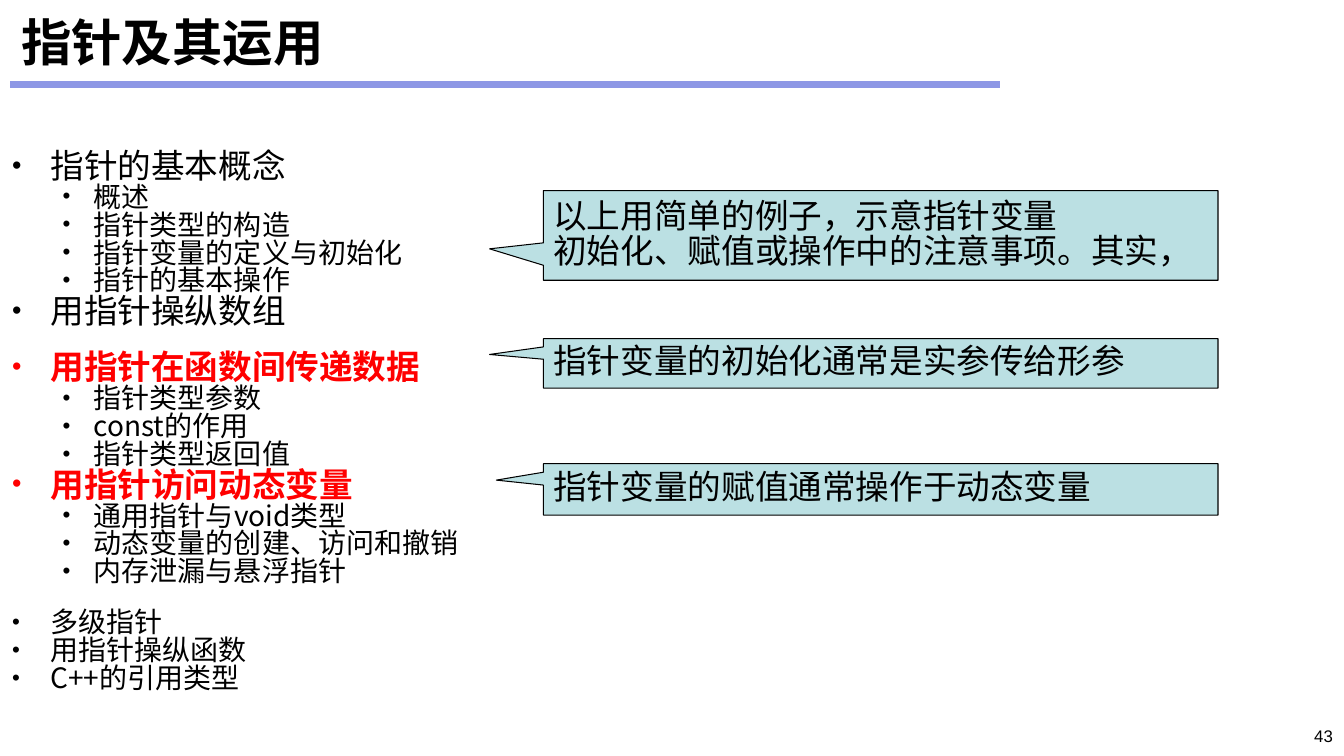
from lxml import etree
from pptx import Presentation
from pptx.dml.color import RGBColor
from pptx.enum.shapes import MSO_CONNECTOR, MSO_SHAPE
from pptx.enum.text import MSO_ANCHOR, MSO_AUTO_SIZE, PP_ALIGN
from pptx.oxml.ns import qn
from pptx.util import Pt

PX = 9144  # EMU per px, 100 px to the inch
CJK = "Noto Sans CJK SC"
BLACK, RED = "000000", "FF0000"

# level, text, size, highlighted, space before
OUTLINE = [
    (0, "指针的基本概念", 24, False, 0),
    (1, "概述", 20, False, 0),
    (1, "指针类型的构造", 20, False, 0),
    (1, "指针变量的定义与初始化", 20, False, 0),
    (1, "指针的基本操作", 20, False, 0),
    (0, "用指针操纵数组", 24, False, 0),
    (0, "用指针在函数间传递数据", 24, True, 16.5),
    (1, "指针类型参数", 20, False, 0),
    (1, "const的作用", 20, False, 0),
    (1, "指针类型返回值", 20, False, 0),
    (0, "用指针访问动态变量", 24, True, 0),
    (1, "通用指针与void类型", 20, False, 0),
    (1, "动态变量的创建、访问和撤销", 20, False, 0),
    (1, "内存泄漏与悬浮指针", 20, False, 0),
    (0, "多级指针", 20, False, 16.5),
    (0, "用指针操纵函数", 20, False, 0),
    (0, "C++的引用类型", 20, False, 0),
]
INDENTS = [(38, -38), (81, -31)]  # left margin and first line, by level

# top, height, pointer tip, lines
CALLOUTS = [
    (189, 89, (-0.58, 0.15),
     ["以上用简单的例子，示意指针变量", "初始化、赋值或操作中的注意事项。其实，"]),
    (336, 49, (-0.58, -0.18), ["指针变量的初始化通常是实参传给形参"]),
    (460, 51, (-0.57, -0.18), ["指针变量的赋值通常操作于动态变量"]),
]


def px(*lengths):
    return [length * PX for length in lengths]


def color(hex_string):
    return RGBColor.from_string(hex_string)


def place(shape, left, top, width, height):
    shape.left, shape.top, shape.width, shape.height = px(left, top, width, height)


def set_frame(frame, side, edge, anchor):
    frame.word_wrap = True
    frame.auto_size = MSO_AUTO_SIZE.NONE
    frame.vertical_anchor = anchor
    frame.margin_left = frame.margin_right = side * PX
    frame.margin_top = frame.margin_bottom = edge * PX


def add_run(paragraph, text, size, font=CJK, fill=BLACK, bold=False):
    run = paragraph.add_run()
    run.text = text
    run.font.size = Pt(size)
    run.font.name = font
    run.font.bold = bold
    run.font.color.rgb = color(fill)
    east_asian = etree.SubElement(run.font._element, qn("a:ea"))
    east_asian.set("typeface", CJK)


def next_paragraph(frame, index):
    return frame.add_paragraph() if index else frame.paragraphs[0]


def add_bullet(paragraph, level):
    properties = paragraph._p.get_or_add_pPr()
    margin, first_line = px(*INDENTS[level])
    properties.set("marL", str(margin))
    properties.set("indent", str(first_line))
    for tag, key, value in [("a:buSzPct", "val", "80000"),
                            ("a:buFont", "typeface", "Arial"),
                            ("a:buChar", "char", "•")]:
        etree.SubElement(properties, qn(tag)).set(key, value)


def fill_title(title):
    place(title, 11, 8, 1311, 67)
    set_frame(title.text_frame, 10, 5, MSO_ANCHOR.MIDDLE)
    heading = title.text_frame.paragraphs[0]
    heading.alignment = PP_ALIGN.LEFT
    add_run(heading, "指针及其运用", 36, bold=True)


def fill_outline(body):
    place(body, 10, 94, 1312, 651)
    set_frame(body.text_frame, 2, 1, MSO_ANCHOR.MIDDLE)
    for index, (level, text, size, highlighted, gap) in enumerate(OUTLINE):
        topic = next_paragraph(body.text_frame, index)
        topic.level = level
        add_bullet(topic, level)
        topic.line_spacing = 0.83
        topic.space_before = Pt(gap)
        add_run(topic, text, size, fill=RED if highlighted else BLACK, bold=highlighted)


def add_title_rule(slide):
    rule = slide.shapes.add_connector(MSO_CONNECTOR.STRAIGHT, *px(10, 84, 992, 84))
    rule.line.color.rgb = color("8D97E5")
    rule.line.width = Pt(4.5)
    etree.SubElement(rule._element.spPr, qn("a:effectLst"))


def add_callout(slide, top, height, tip, lines):
    callout = slide.shapes.add_shape(
        MSO_SHAPE.RECTANGULAR_CALLOUT, *px(539, top, 669, height))
    callout.adjustments[0], callout.adjustments[1] = tip
    callout.shadow.inherit = False
    callout.fill.solid()
    callout.fill.fore_color.rgb = color("BBE0E3")
    callout.line.color.rgb = color(BLACK)
    callout.line.width = Pt(0.75)
    set_frame(callout.text_frame, 10, 5, MSO_ANCHOR.MIDDLE)
    for index, text in enumerate(lines):
        remark = next_paragraph(callout.text_frame, index)
        remark.alignment = PP_ALIGN.LEFT
        remark.line_spacing = 0.86
        add_run(remark, text, 24, font="Courier New")


def add_page_number(slide, number):
    box = slide.shapes.add_textbox(*px(1191, 717, 131, 25))
    set_frame(box.text_frame, 0, 0, MSO_ANCHOR.MIDDLE)
    paragraph = box.text_frame.paragraphs[0]
    paragraph.alignment = PP_ALIGN.RIGHT
    add_run(paragraph, number, 12, font="Arial")


def main():
    presentation = Presentation()
    presentation.slide_width, presentation.slide_height = px(1333, 750)
    slide = presentation.slides.add_slide(presentation.slide_layouts[1])
    add_title_rule(slide)
    add_page_number(slide, "43")
    fill_title(slide.shapes.title)
    fill_outline(slide.placeholders[1])
    for callout in CALLOUTS:
        add_callout(slide, *callout)
    presentation.save("out.pptx")


if __name__ == "__main__":
    main()
